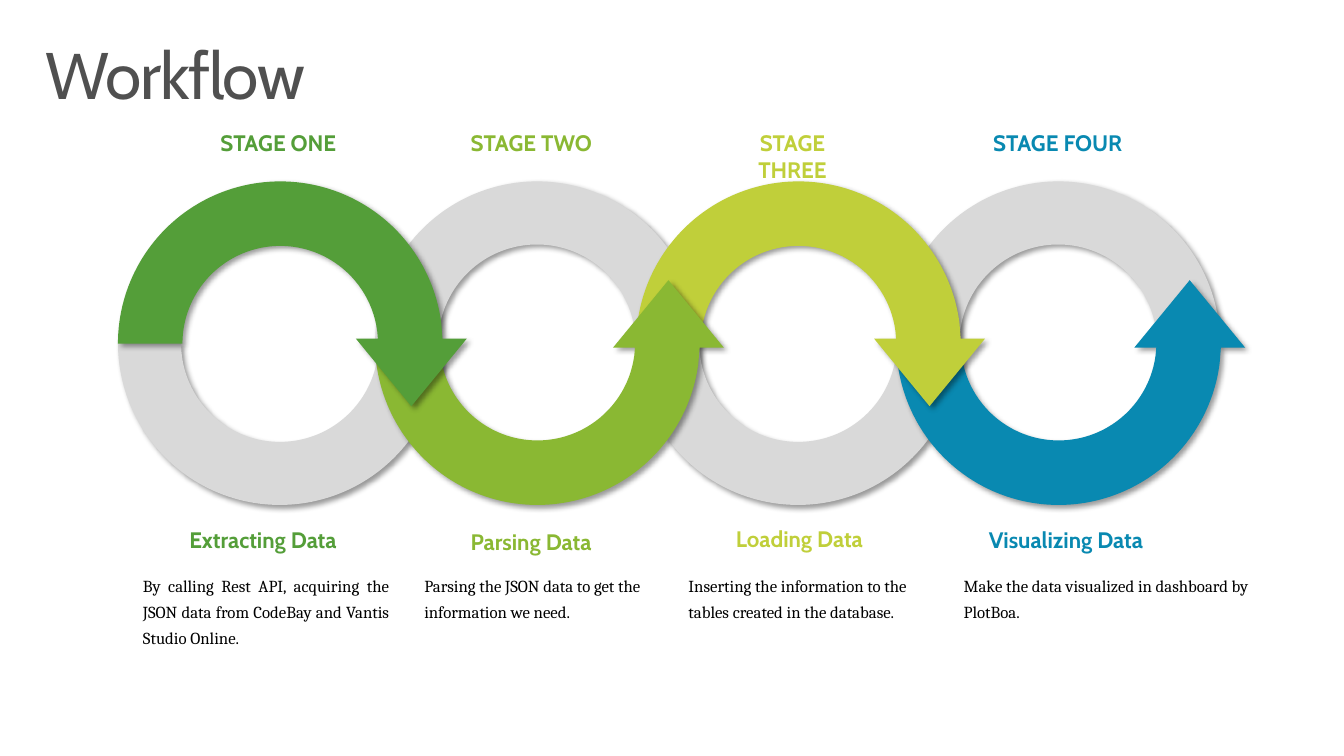
from math import asin, cos, pi, radians, sin, tan
from lxml.etree import SubElement
from pptx import Presentation
from pptx.dml.color import RGBColor
from pptx.enum.shapes import MSO_SHAPE
from pptx.enum.text import MSO_ANCHOR, MSO_AUTO_SIZE, PP_ALIGN
from pptx.oxml.ns import qn
from pptx.util import Inches, Pt

theme = {
    "heading_font": "Cabin", "body_font": "Cambria",
    "title_size": 47, "label_size": 16, "body_size": 12,
    "title": "505050", "body": "000000", "ring": "D9D9D9", "shadow": "000000",
    "stages": ["549E39", "8AB833", "C0CF3A", "0989B1"],
}

deck = Presentation()
deck.slide_width, deck.slide_height = Inches(13.33), Inches(7.5)
page = deck.slides.add_slide(deck.slide_layouts[6])
column, row = deck.slide_width / 13.33, deck.slide_height / 7.5


def add_text(words, left, top, width, height, font, size, color, bold=False,
             align=PP_ALIGN.LEFT, spacing=1.0):
    box = page.shapes.add_textbox(int(left * column), int(top * row),
                                  int(width * column), int(height * row))
    frame = box.text_frame
    frame.word_wrap = True
    frame.auto_size = MSO_AUTO_SIZE.SHAPE_TO_FIT_TEXT
    frame.vertical_anchor = MSO_ANCHOR.TOP
    para = frame.paragraphs[0]
    para.text, para.alignment, para.line_spacing = words, align, spacing
    para.font.name, para.font.size, para.font.bold = font, Pt(size), bold
    para.font.color.rgb = RGBColor.from_string(color)
    return box


def paint(shape, color):
    shape.fill.solid()
    shape.fill.fore_color.rgb = RGBColor.from_string(color)
    shape.line.fill.background()
    shape.shadow.inherit = False
    effects = shape._element.spPr.find(qn("a:effectLst"))
    shadow = SubElement(effects, qn("a:outerShdw"), blurRad=str(Pt(4)), dist=str(Pt(3)),
                        dir="2700000", algn="tl", rotWithShape="0")
    tint = SubElement(shadow, qn("a:srgbClr"), val=theme["shadow"])
    SubElement(tint, qn("a:alpha"), val="40000")


title = add_text("Workflow", 0.29, 0.32, 12.74, 0.98, theme["heading_font"],
                 theme["title_size"], theme["title"], spacing=0.9)
title.text_frame.auto_size = MSO_AUTO_SIZE.NONE
title.text_frame.margin_left = title.text_frame.margin_right = Inches(0.16)
title.text_frame.margin_top = title.text_frame.margin_bottom = Inches(0.1)
title.text_frame.paragraphs[0].runs[0].font._element.set("spc", "-90")

ring_lefts = [1.17, 3.72, 6.31, 8.89]
ring_top, ring_size = 1.8, 3.21

for index in [1, 0, 2, 3]:
    ring = page.shapes.add_shape(
        MSO_SHAPE.BLOCK_ARC, int(ring_lefts[index] * column), int(ring_top * row),
        int(ring_size * column), int(ring_size * row))
    for position, value in enumerate([108, 0, 0.195]):
        ring.adjustments[position] = value
    if index % 2 == 0:
        ring._element.spPr.find(qn("a:xfrm")).set("flipV", "1")
    paint(ring, theme["ring"])

outer, inner = 1.61, 0.97
head_center, head_half, head_base, head_tip = 1.3, 0.55, 0.05, -0.62
neck = radians(7.4)
outer_end, inner_end = asin(head_base / outer), asin(head_base / inner)
arcs = [(outer, pi / 2, pi / 3), (outer, pi / 3, neck), (inner, neck, pi / 3),
        (inner, pi / 3, pi * 2 / 3), (inner, pi * 2 / 3, pi),
        (outer, pi, pi * 2 / 3), (outer, pi * 2 / 3, pi / 2)]
curves = []
for radius, start, end in arcs:
    pull = 4 / 3 * tan((end - start) / 4)
    curves.append([
        (radius * (cos(start) - pull * sin(start)), radius * (sin(start) + pull * cos(start))),
        (radius * (cos(end) + pull * sin(end)), radius * (sin(end) - pull * cos(end))),
        (radius * cos(end), radius * sin(end))])
head = [(outer * cos(outer_end), head_base), (head_center + head_half, head_base),
        (head_center, head_tip), (head_center - head_half, head_base),
        (inner * cos(inner_end), head_base), (inner * cos(neck), inner * sin(neck))]
segments = (curves[:2] + [[corner] for corner in head] + curves[2:5]
            + [[(-outer, 0)]] + curves[5:])

for index in [3, 2, 1, 0]:
    direction = 1 if index % 2 == 0 else -1
    center = ring_lefts[index] + outer
    middle = ring_top + outer if direction == 1 else ring_top + ring_size - outer
    placed = [[(round((center + across) * column), round((middle - direction * up) * row))
               for across, up in segment] for segment in segments]
    builder = page.shapes.build_freeform(*placed[-1][-1])
    builder.add_line_segments([segment[-1] for segment in placed], close=True)
    arrow = builder.convert_to_shape()
    lines = list(arrow._element.iter(qn("a:lnTo")))
    for line, segment in zip(lines, placed):
        if len(segment) == 3:
            line.tag = qn("a:cubicBezTo")
            line.remove(line[0])
            for across, down in segment:
                SubElement(line, qn("a:pt"), x=str(across - arrow.left), y=str(down - arrow.top))
    paint(arrow, theme["stages"][index])

stages = [
    ("STAGE ONE", 2.05, 1.42, "Extracting Data", 1.78, 5.09, 1.87, 1.32, 2.64, PP_ALIGN.JUSTIFY,
     "By calling Rest API, acquiring the JSON data from CodeBay and Vantis Studio Online."),
    ("STAGE TWO", 4.55, 1.44, "Parsing Data", 4.57, 5.11, 1.57, 4.11, 2.64, PP_ALIGN.LEFT,
     "Parsing the JSON data to get the information we need."),
    ("STAGE THREE", 7.08, 1.56, "Loading Data", 7.2, 5.08, 1.67, 6.73, 2.78, PP_ALIGN.LEFT,
     "Inserting the information to the tables created in the database."),
    ("STAGE FOUR", 9.73, 1.52, "Visualizing Data", 9.71, 5.09, 1.93, 9.46, 3.19, PP_ALIGN.LEFT,
     "Make the data visualized in dashboard by PlotBoa."),
]
for color, stage in zip(theme["stages"], stages):
    (name, name_left, name_width, task, task_left, task_top, task_width,
     left, width, align, detail) = stage
    add_text(detail, left, 5.6, width, 0.63, theme["body_font"], theme["body_size"],
             theme["body"], align=align, spacing=1.3)
    add_text(task, task_left, task_top, task_width, 0.45, theme["heading_font"],
             theme["label_size"], color, bold=True, spacing=1.3)
    add_text(name, name_left, 1.23, name_width, 0.37, theme["heading_font"],
             theme["label_size"], color, bold=True, align=PP_ALIGN.CENTER)

deck.save("out.pptx")
